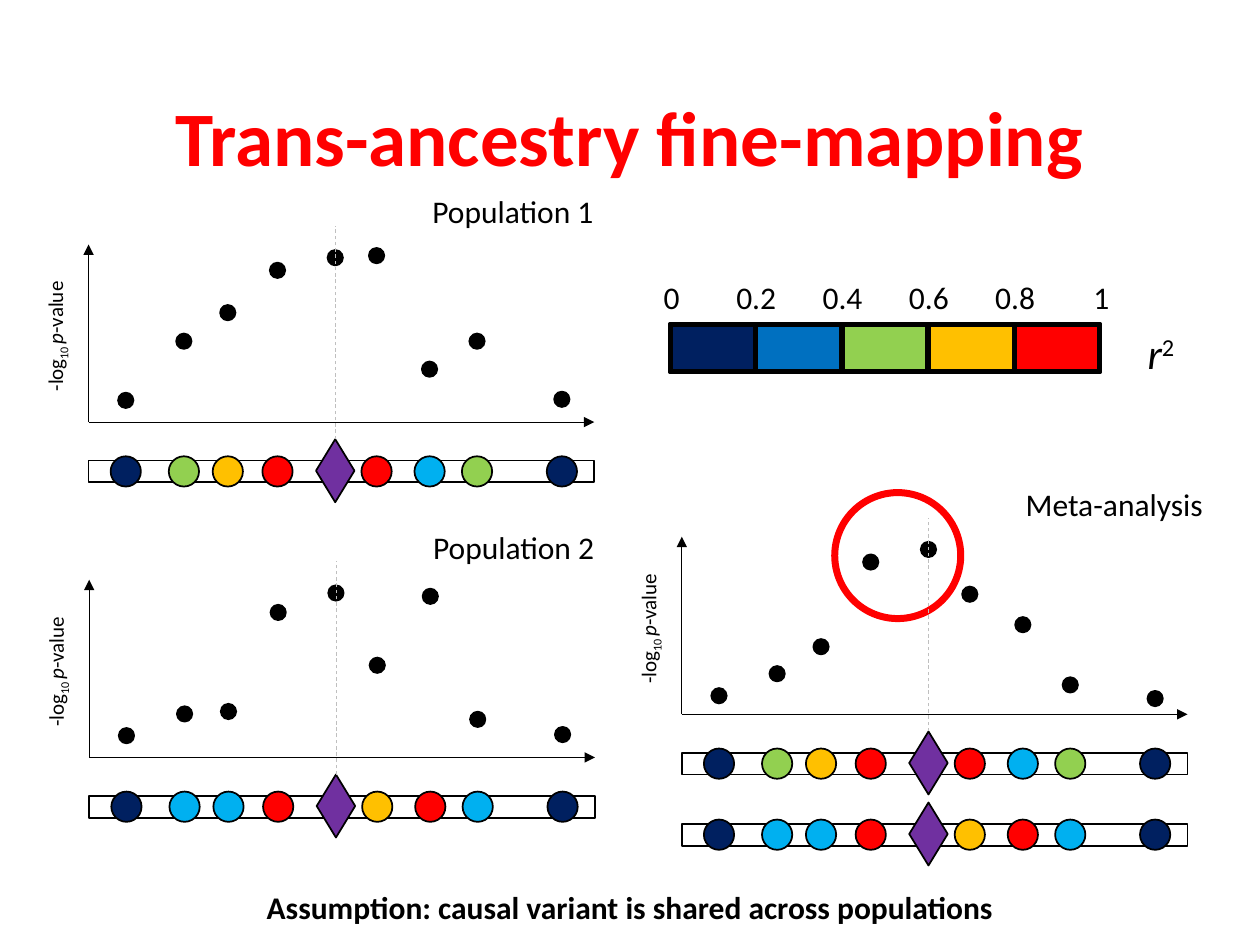
from dataclasses import dataclass

from lxml import etree
from pptx import Presentation
from pptx.dml.color import RGBColor
from pptx.enum.dml import MSO_LINE
from pptx.enum.shapes import MSO_CONNECTOR, MSO_SHAPE
from pptx.enum.text import MSO_ANCHOR, MSO_AUTO_SIZE, PP_ALIGN
from pptx.oxml.ns import qn
from pptx.util import Pt

RECT, OVAL, DIAMOND = MSO_SHAPE.RECTANGLE, MSO_SHAPE.OVAL, MSO_SHAPE.DIAMOND
STRAIGHT, DASH = MSO_CONNECTOR.STRAIGHT, MSO_LINE.DASH
LEFT, CENTER = PP_ALIGN.LEFT, PP_ALIGN.CENTER
TOP, MIDDLE = MSO_ANCHOR.TOP, MSO_ANCHOR.MIDDLE
FIT = MSO_AUTO_SIZE.SHAPE_TO_FIT_TEXT

BLACK, WHITE, GREY = "000000", "FFFFFF", "BFBFBF"
RED, ORANGE, GREEN, SKY = "FF0000", "FFC000", "92D050", "00B0F0"
BLUE, NAVY, PURPLE = "0070C0", "002060", "7030A0"

# Variant positions along each axis, in points from the panel origin
VARIANT_X = (21.3, 54.5, 79.6, 108, 141, 164.6, 194.9, 222, 270.5)
CAUSAL = 4
AXIS_W, AXIS_H = 289, 101.5
TRACK_DY, TRACK_STEP, TRACK_H = 28.2, 40.6, 12.5

LD_1 = (NAVY, GREEN, ORANGE, RED, PURPLE, RED, SKY, GREEN, NAVY)
LD_2 = (NAVY, SKY, SKY, RED, PURPLE, ORANGE, RED, SKY, NAVY)


@dataclass
class Run:
    text: str
    italic: bool = False
    baseline: int = 0


@dataclass
class Panel:
    label: str
    x: float
    y: float
    label_w: float
    heights: tuple
    tracks: tuple


PANELS = (
    Panel("Population 1", 50.6, 241.2, 108,
          (12.4, 46.2, 62.5, 86.7, 93.9, 95.1, 30.2, 46.2, 13), (LD_1,)),
    Panel("Population 2", 51, 432.8, 108,
          (12.4, 24.8, 26.2, 82.8, 93.9, 52.6, 92, 21.7, 13), (LD_2,)),
    Panel("Meta-analysis", 389.6, 408.2, 117,
          (10.6, 23.2, 38.6, 87, 94.2, 68.6, 51.2, 16.8, 9), (LD_1, LD_2)),
)
Y_TITLE = (Run("-log"), Run("10 ", baseline=-25000),
           Run("p", italic=True), Run("-value"))


def rgb(value: str) -> RGBColor:
    return RGBColor.from_string(value)


def add_shape(s, kind, x: float, y: float, w: float, h: float,
              fill: str | None, line: str = BLACK, width: float = 1):
    sp = s.shapes.add_shape(kind, Pt(x), Pt(y), Pt(w), Pt(h))
    sp.shadow.inherit = False
    if fill:
        sp.fill.solid()
        sp.fill.fore_color.rgb = rgb(fill)
    else:
        sp.fill.background()
    sp.line.color.rgb = rgb(line)
    sp.line.width = Pt(width)
    return sp


def add_centred(s, kind, cx: float, cy: float, w: float, h: float, fill: str):
    return add_shape(s, kind, cx - w / 2, cy - h / 2, w, h, fill)


def add_line(s, x1: float, y1: float, x2: float, y2: float,
             color: str = BLACK, arrow: bool = False):
    cx = s.shapes.add_connector(STRAIGHT, Pt(x1), Pt(y1), Pt(x2), Pt(y2))
    cx.line.color.rgb = rgb(color)
    cx.line.width = Pt(0.5)
    if arrow:
        etree.SubElement(cx.line._get_or_add_ln(), qn("a:tailEnd"), type="triangle")
    etree.SubElement(cx._element.spPr, qn("a:effectLst"))
    return cx


def add_text(s, runs: tuple, x: float, y: float, w: float, h: float,
             size: float = 18, color: str = BLACK, bold: bool = False,
             align=LEFT, anchor=TOP, fit=FIT):
    sp = s.shapes.add_textbox(Pt(x), Pt(y), Pt(w), Pt(h))
    tf = sp.text_frame
    for name, value in {"word_wrap": True, "auto_size": fit,
                        "vertical_anchor": anchor}.items():
        setattr(tf, name, value)
    p = tf.paragraphs[0]
    p.alignment = align
    for run in runs:
        r = p.add_run()
        r.text = run.text
        for name, value in {"name": "Calibri", "size": Pt(size), "bold": bold,
                            "italic": run.italic}.items():
            setattr(r.font, name, value)
        r.font.color.rgb = rgb(color)
        if run.baseline:
            r._r.get_or_add_rPr().set("baseline", str(run.baseline))
    return sp


def add_track(s, x: float, cy: float, colors: tuple):
    """Draw one chromosome strip and return its causal-variant diamond."""
    add_shape(s, RECT, x, cy - TRACK_H / 2, AXIS_W, TRACK_H, WHITE)
    for i, (dx, color) in enumerate(zip(VARIANT_X, colors)):
        if i != CAUSAL:
            add_centred(s, OVAL, x + dx, cy, 17.3, 17.3, color)
    return add_centred(s, DIAMOND, x + VARIANT_X[CAUSAL], cy - 0.4, 22, 36,
                       colors[CAUSAL])


def add_panel(s, panel: Panel):
    """Draw a scatter panel with its strips; return the first diamond."""
    x, y = panel.x, panel.y
    diamonds = [add_track(s, x, y + TRACK_DY + i * TRACK_STEP, colors)
                for i, colors in enumerate(panel.tracks)]
    add_line(s, x, y, x, y - AXIS_H, arrow=True)
    add_line(s, x, y, x + AXIS_W, y, arrow=True)
    y_title = add_text(s, Y_TITLE, x - 59.1, y - 61.4, 80, 21.8, size=12)
    y_title.rotation = 270
    add_text(s, (Run(panel.label),), x + 189.4, y - 134.8, panel.label_w, 29)
    for dx, height in zip(VARIANT_X, panel.heights):
        add_centred(s, OVAL, x + dx, y - height, 8.8, 8.8, BLACK)
    return diamonds[0]


def add_legend(s):
    """Draw the r² colour scale with labels centred on its cell edges."""
    left, top, step, h = 383, 185.3, 49.3, 27.2
    for i, color in enumerate((NAVY, BLUE, GREEN, ORANGE, RED)):
        add_shape(s, RECT, left + i * step, top, 48.3, h, color, width=2)
    add_shape(s, RECT, left, top, 245.5, h, None, width=3)
    text_x = 372.2
    sp = add_text(s, (Run("0\t0.2\t0.4\t0.6\t0.8\t1"),), text_x, 155.5, 271, 29)
    pPr = sp.text_frame.paragraphs[0]._p.get_or_add_pPr()
    tabs = etree.SubElement(pPr, qn("a:tabLst"))
    for i in range(1, 6):
        pos = Pt(left + i * step - text_x - 7.2)
        etree.SubElement(tabs, qn("a:tab"), pos=str(pos), algn="ctr")
    r2 = add_text(s, (Run("r", italic=True), Run("2", baseline=30000)),
                  648.7, 183.6, 31, 36, size=24)
    r2.text_frame.word_wrap = False


def main():
    prs = Presentation()
    prs.slide_width, prs.slide_height = Pt(720), Pt(540)
    s = prs.slides.add_slide(prs.slide_layouts[6])

    # Title
    title = add_text(s, (Run("Trans-ancestry fine-mapping"),), 49.5, 28.8, 621, 104.4,
                     size=44, color=RED, bold=True, align=CENTER, anchor=MIDDLE,
                     fit=MSO_AUTO_SIZE.NONE)
    title.text_frame.paragraphs[0].line_spacing = 0.9

    # Panels and colour scale
    diamonds = [add_panel(s, panel) for panel in PANELS]
    add_legend(s)

    # Highlight of the leading variants
    add_shape(s, OVAL, 477, 281.5, 72, 72, None, RED, 4)

    # Guides rising from the causal variants
    for panel, diamond in zip(PANELS, diamonds):
        x = panel.x + VARIANT_X[CAUSAL]
        guide = add_line(s, x, panel.y + 10, x, panel.y - 112, GREY)
        guide.line.dash_style = DASH
        guide.begin_connect(diamond, 0)

    # Assumption
    add_text(s, (Run("Assumption: causal variant is shared across populations"),),
             144, 504, 432, 29, bold=True, align=CENTER)
    prs.save("out.pptx")


if __name__ == "__main__":
    main()
